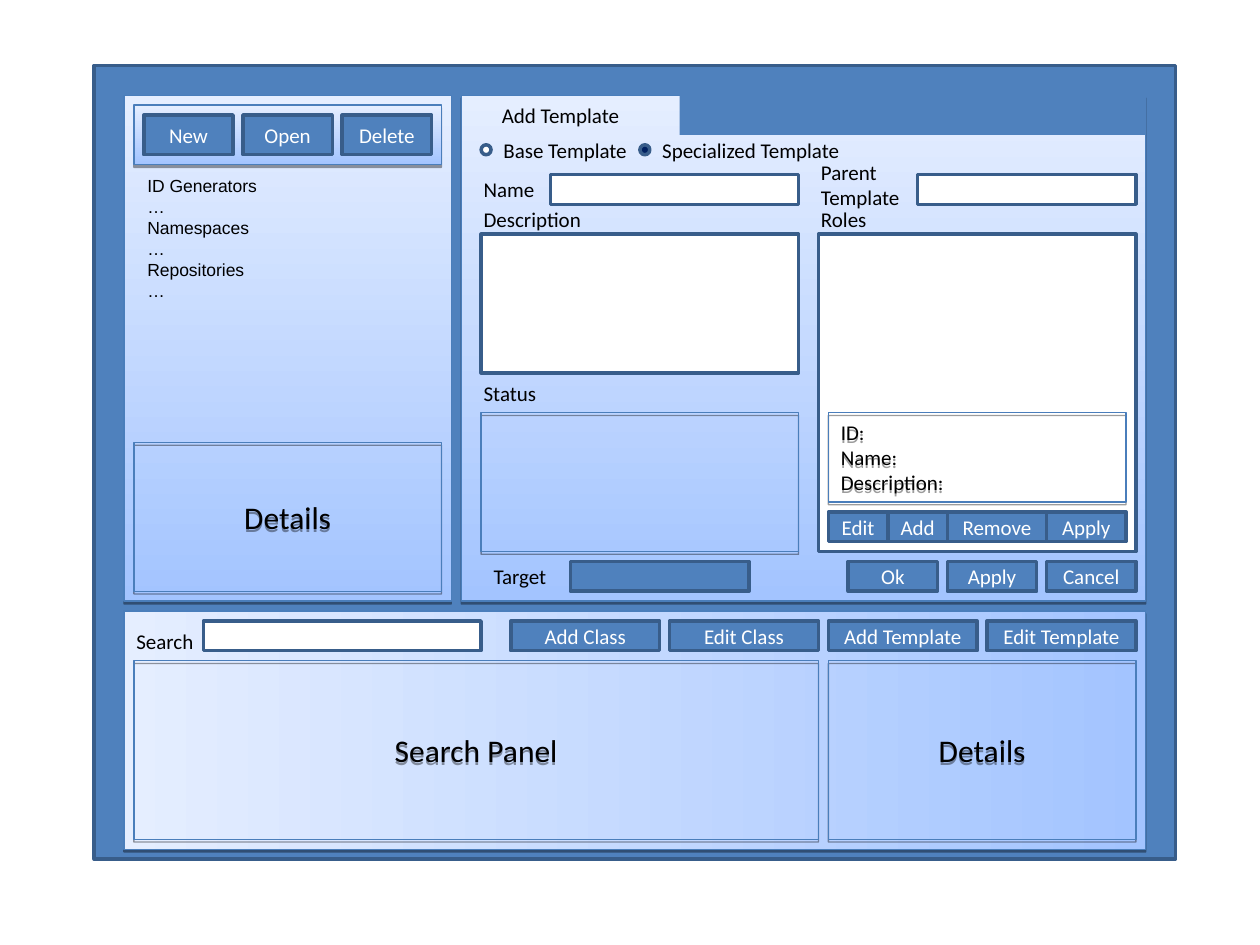
from dataclasses import dataclass

from lxml import etree
from pptx import Presentation, util as u
from pptx.dml import color
from pptx.enum import shapes, text
from pptx.oxml import ns

BLUE, EDGE, THIN_EDGE = "4F81BD", "385D8A", "4A7EBB"
DARK, LIGHT, WHITE, BLACK, NAVY = "A3C4FF", "E5EEFF", "FFFFFF", "000000", "002060"
LEFT, CENTER = text.PP_ALIGN.LEFT, text.PP_ALIGN.CENTER


@dataclass(frozen=True)
class Area:
    left: float
    top: float
    width: float
    height: float

    def lengths(self) -> list:
        return [u.Cm(value) for value in (self.left, self.top, self.width, self.height)]


@dataclass(frozen=True)
class Style:
    fill: str | None = None
    gradient_angle: int | None = None
    line: str | None = None
    weight: float = 2
    shadow: bool = False


@dataclass(frozen=True)
class Type:
    size: int = 12
    ink: str = BLACK
    align: int = LEFT
    font: str = "Calibri"


BAR = Style(fill=BLUE)
BUTTON = Style(fill=BLUE, line=EDGE)
FIELD = Style(fill=WHITE, line=EDGE)
FRAME = Style(line=THIN_EDGE, weight=0.75, shadow=True)
PANEL = Style(gradient_angle=90, line=THIN_EDGE, weight=0.75, shadow=True)
SIDEWAYS_PANEL = Style(gradient_angle=180, line=THIN_EDGE, weight=0.75, shadow=True)

LABEL = Type()
TAB_TITLE = Type(align=CENTER)
CAPTION = Type(ink=WHITE, align=CENTER)
HEADING = Type(size=18, align=CENTER)
TREE = Type(size=10, font="Arial")


def rgb(value: str) -> color.RGBColor:
    return color.RGBColor.from_string(value)


def write(box, lines: list[str], kind: Type) -> None:
    frame = box.text_frame
    frame.text = "\n".join(lines)
    for paragraph in frame.paragraphs:
        paragraph.alignment = kind.align
        paragraph.font.name = kind.font
        paragraph.font.size = u.Pt(kind.size)
        paragraph.font.color.rgb = rgb(kind.ink)


def add_shadow(box) -> None:
    effects = box._element.spPr.find(ns.qn("a:effectLst"))
    shadow = etree.SubElement(
        effects, ns.qn("a:outerShdw"), blurRad="0", dist=str(u.Pt(1.6)),
        dir="5400000", algn="ctr", rotWithShape="0")
    tint = etree.SubElement(shadow, ns.qn("a:srgbClr"), val=BLACK)
    etree.SubElement(tint, ns.qn("a:alpha"), val="38000")


def add_box(page, area: Area, style: Style, lines: list[str] | None = None,
            kind: Type = CAPTION, preset=shapes.MSO_SHAPE.RECTANGLE):
    box = page.shapes.add_shape(preset, *area.lengths())
    box.shadow.inherit = False
    if style.gradient_angle is not None:
        box.fill.gradient()
        box.fill.gradient_angle = style.gradient_angle
        for stop, shade in zip(box.fill.gradient_stops, (DARK, LIGHT)):
            stop.color.rgb = rgb(shade)
    elif style.fill:
        box.fill.solid()
        box.fill.fore_color.rgb = rgb(style.fill)
    else:
        box.fill.background()
    if style.line:
        box.line.color.rgb = rgb(style.line)
        box.line.width = u.Pt(style.weight)
    else:
        box.line.fill.background()
    if style.shadow:
        add_shadow(box)
    if lines:
        box.text_frame.vertical_anchor = text.MSO_ANCHOR.MIDDLE
        write(box, lines, kind)
    return box


def add_label(page, area: Area, lines: list[str], kind: Type = LABEL,
              anchor=text.MSO_ANCHOR.MIDDLE, wrap: bool = True) -> None:
    label = page.shapes.add_textbox(*area.lengths())
    label.text_frame.word_wrap = wrap
    label.text_frame.vertical_anchor = anchor
    write(label, lines, kind)


def add_buttons(page, captions: list[str], first: Area, gap: float = 0.2) -> None:
    for index, caption in enumerate(captions):
        left = first.left + index * (first.width + gap)
        add_box(page, Area(left, first.top, first.width, first.height), BUTTON, [caption])


def add_radio(page, left: float, fill: str, caption: str, width: float) -> None:
    add_box(page, Area(left, 2.92, 0.2, 0.2), Style(fill=fill, line=EDGE),
            preset=shapes.MSO_SHAPE.OVAL)
    add_label(page, Area(left + 0.2, 2.72, width, 0.6), [caption])


def draw_browser(page) -> None:
    add_box(page, Area(2.5, 1.92, 6.6, 10.2), PANEL)
    add_box(page, Area(2.7, 2.12, 6.2, 1.2), PANEL)
    add_buttons(page, ["New", "Open", "Delete"], Area(2.9, 2.32, 1.8, 0.8))
    tree = [line for name in ("ID Generators", "Namespaces", "Repositories")
            for line in (name, "…")]
    add_label(page, Area(2.72, 3.4, 2.72, 2.8), tree, TREE, text.MSO_ANCHOR.TOP, wrap=False)
    add_box(page, Area(2.7, 8.92, 6.2, 3), FRAME, ["Details"], HEADING)


def draw_editor(page) -> None:
    add_box(page, Area(9.3, 1.92, 13.8, 10.2), PANEL)
    add_label(page, Area(9.3, 1.92, 4, 0.8), ["Add Template"], TAB_TITLE)
    add_box(page, Area(13.7, 1.92, 9.4, 0.8), BAR)
    add_radio(page, 9.7, WHITE, "Base Template", 3.2)
    add_radio(page, 12.9, NAVY, "Specialized Template", 4.2)
    fields = [Area(11.1, 3.52, 5, 0.6), Area(18.5, 3.52, 4.4, 0.6),
              Area(9.7, 4.72, 6.4, 2.8), Area(16.5, 4.72, 6.4, 6.4)]
    for field in fields:
        add_box(page, field, FIELD)
    labels = {"Name": Area(9.5, 3.52, 1.6, 0.6),
              "Parent Template": Area(16.3, 3.32, 2.2, 0.8),
              "Description": Area(9.5, 4.12, 2.6, 0.6),
              "Roles": Area(16.3, 4.12, 3, 0.6),
              "Status": Area(9.5, 7.52, 3, 0.8),
              "Target": Area(9.7, 11.32, 2.2, 0.6)}
    for caption, area in labels.items():
        add_label(page, area, [caption])
    add_box(page, Area(9.7, 8.32, 6.4, 2.8), FRAME)
    add_box(page, Area(11.5, 11.32, 3.6, 0.6), BUTTON)
    add_box(page, Area(16.7, 8.32, 6, 1.8), FRAME, ["ID:", "Name:", "Description:"], LABEL)
    left = 16.7
    for caption, width in (("Edit", 1.2), ("Add", 1.2), ("Remove", 2), ("Apply", 1.6)):
        add_box(page, Area(left, 10.32, width, 0.6), BUTTON, [caption])
        left += width
    add_buttons(page, ["Ok", "Apply", "Cancel"], Area(17.1, 11.32, 1.8, 0.6))


def draw_search(page) -> None:
    add_box(page, Area(2.5, 12.32, 20.6, 4.8), SIDEWAYS_PANEL)
    add_box(page, Area(4.1, 12.52, 5.6, 0.6), FIELD)
    add_label(page, Area(2.5, 12.52, 3, 0.8), ["Search"])
    add_buttons(page, ["Add Class", "Edit Class", "Add Template", "Edit Template"],
                Area(10.3, 12.52, 3, 0.6))
    add_box(page, Area(2.7, 13.32, 13.8, 3.6), FRAME, ["Search Panel"], HEADING)
    add_box(page, Area(16.7, 13.32, 6.2, 3.6), FRAME, ["Details"], HEADING)


def main() -> None:
    """Build the template editor window mock-up on one slide."""
    deck = Presentation()
    deck.slide_width, deck.slide_height = u.Cm(25.4), u.Cm(19.05)
    page = deck.slides.add_slide(deck.slide_layouts[6])
    add_box(page, Area(1.9, 1.32, 21.8, 16), BUTTON)
    draw_browser(page)
    draw_editor(page)
    draw_search(page)
    deck.save("out.pptx")


if __name__ == "__main__":
    main()
